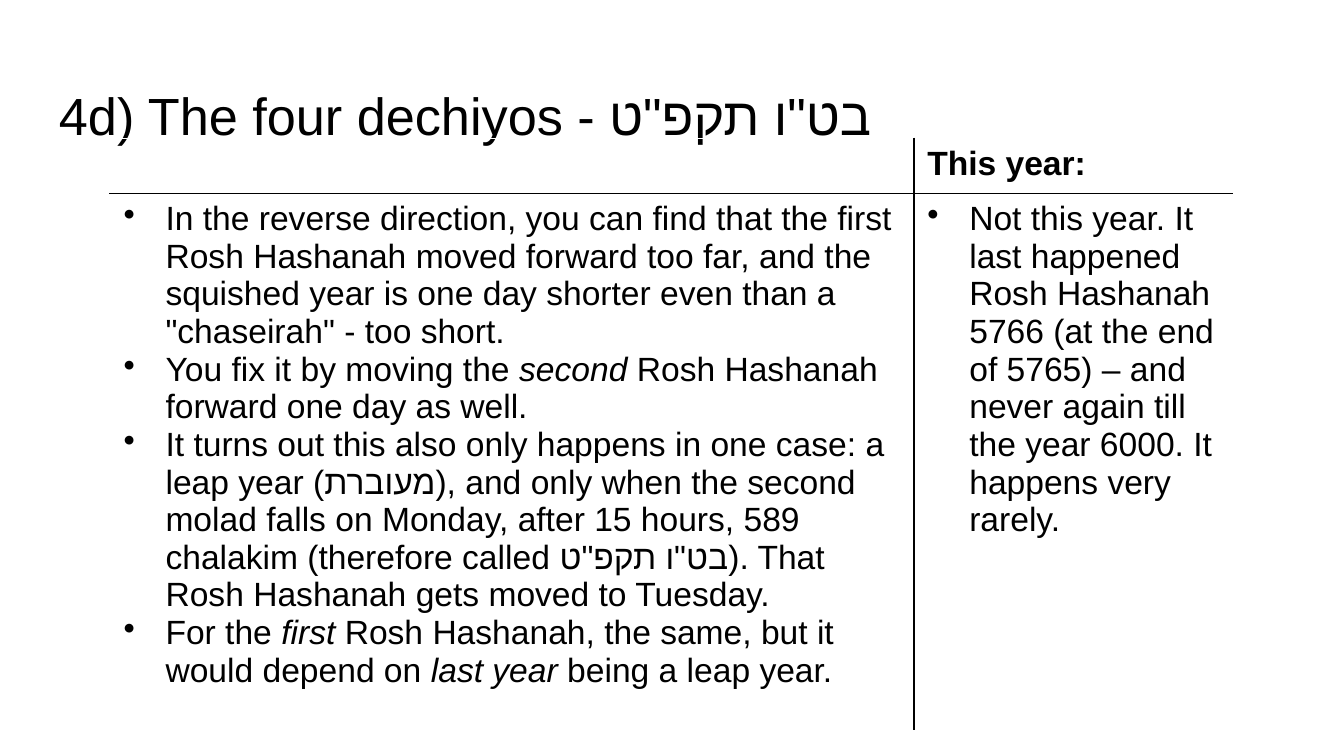
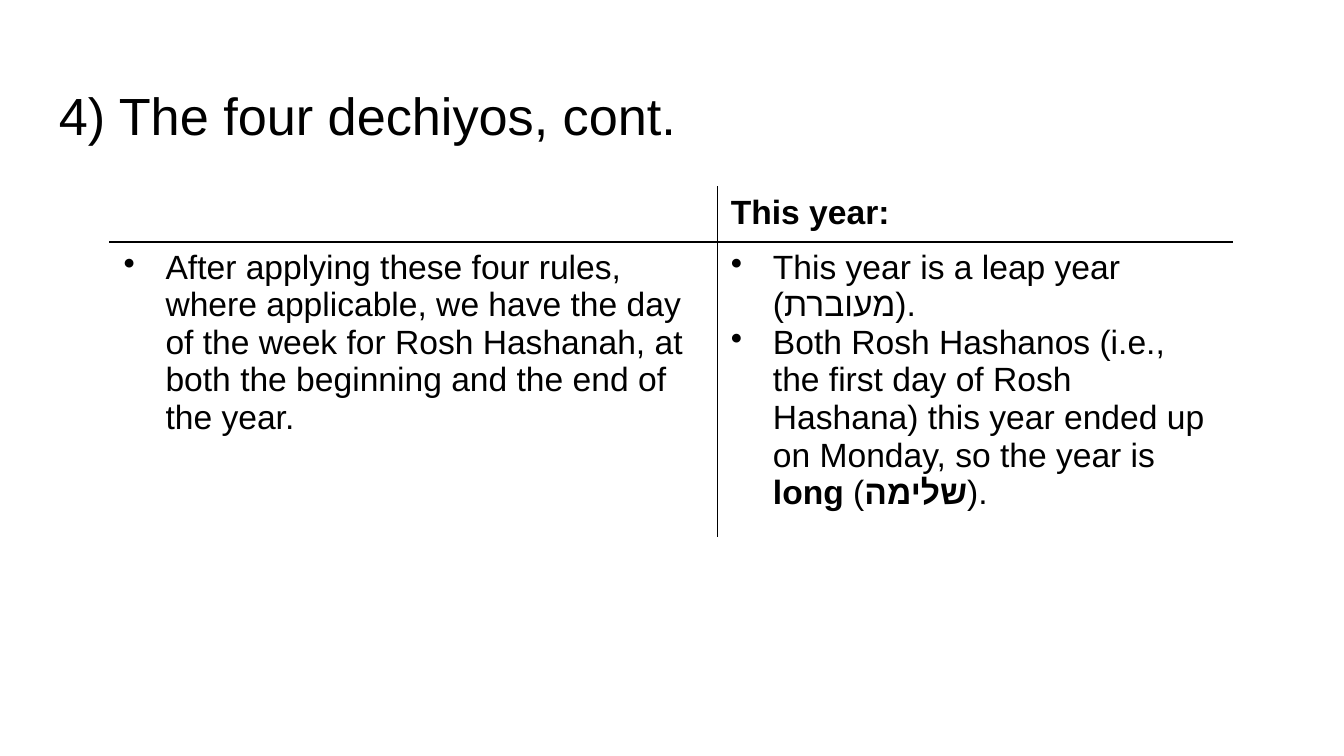
from lxml import etree
from pptx import Presentation
from pptx.dml.color import RGBColor
from pptx.enum import text
from pptx.oxml.ns import qn
from pptx.util import Pt

BLACK = RGBColor(0, 0, 0)
WHITE = RGBColor(255, 255, 255)
FACE = "Arial"
ITALIC = {"italic": True}
BOLD = {"bold": True}
HEAD = "This year:"


def add_color(parent, tag, color):
    box = etree.SubElement(parent, qn(tag))
    etree.SubElement(box, qn("a:srgbClr"), val=str(color))


class Deck:
    left, width = Pt(59), 601.2
    row, hang = Pt(29.5), Pt(22.5)

    def __init__(self):
        self.prs = Presentation()
        self.prs.slide_width, self.prs.slide_height = Pt(720), Pt(405)
        self.slide = None

    def start(self, title):
        self.slide = self.prs.slides.add_slide(self.prs.slide_layouts[6])
        box = self.slide.shapes.add_textbox(Pt(24.5), Pt(35.3), Pt(671), Pt(45.4))
        frame = box.text_frame
        style = {"word_wrap": True, "vertical_anchor": text.MSO_ANCHOR.TOP,
                 "margin_left": Pt(7.2), "margin_right": Pt(7.2),
                 "margin_top": Pt(9.4), "margin_bottom": Pt(0)}
        for name, value in style.items():
            setattr(frame, name, value)
        self.fill(frame.paragraphs[0], [title], size=28)

    def fill(self, para, parts, size=18, **base):
        """Add runs; a part is a string or a (string, font values) pair."""
        for part in parts:
            words, extra = (part, {}) if isinstance(part, str) else part
            run = para.add_run()
            run.text = words
            style = {"name": FACE, "size": Pt(size), "bold": False, "italic": False}
            for name, value in {**style, **base, **extra}.items():
                setattr(run.font, name, value)
            run.font.color.rgb = BLACK
            etree.SubElement(run._r.get_or_add_rPr(), qn("a:cs"), typeface=FACE)

    def bullet(self, para):
        props = para._p.get_or_add_pPr()
        props.set("marL", str(self.hang))
        props.set("indent", str(-self.hang))
        add_color(props, "a:buClr", BLACK)
        etree.SubElement(props, qn("a:buChar"), char="•")

    def border(self, cell, **sides):
        """Colour the given sides, named L, R, T and B in that order."""
        props = cell._tc.get_or_add_tcPr()
        for side, color in sides.items():
            line = etree.SubElement(props, qn(f"a:ln{side}"), w=str(Pt(1)))
            add_color(line, "a:solidFill", color)
        cell.fill.background()

    def items(self, cell, points):
        frame = cell.text_frame
        for i, parts in enumerate(points):
            para = frame.add_paragraph() if i else frame.paragraphs[0]
            self.bullet(para)
            self.fill(para, parts)

    def table(self, top, height, split, rules, year):
        """Two columns, parted at split: the rules, and how they apply."""
        frame = self.slide.shapes.add_table(
            2, 2, self.left, Pt(top), Pt(self.width), Pt(height))
        grid = frame.table
        grid.first_row = grid.horz_banding = False
        for col, wide in zip(grid.columns, (split, self.width - split)):
            col.width = Pt(wide)
        for row in grid.rows:
            row.height = self.row
        frame.height = Pt(height)
        for col, sides in enumerate(({"L": WHITE, "R": BLACK},
                                     {"L": BLACK, "R": WHITE})):
            self.border(grid.cell(0, col), **sides, T=WHITE, B=BLACK)
            self.border(grid.cell(1, col), **sides, T=BLACK)
        self.fill(grid.cell(0, 1).text_frame.paragraphs[0], [HEAD], bold=True)
        self.items(grid.cell(1, 0), rules)
        self.items(grid.cell(1, 1), year)


def main():
    deck = Deck()
    deck.start('4d) The four dechiyos - בט"ו תקפ"ט')
    deck.table(
        74.2, 317.5, 430.6,
        [
            ["In the reverse direction, you can find that the first Rosh "
             "Hashanah moved forward too far, and the squished year is one day "
             'shorter even than a "chaseirah" - too short.'],
            ["You fix it by moving the ", ("second", ITALIC),
             " Rosh Hashanah forward one day as well."],
            ["It turns out this also only happens in one case: a leap year "
             "(מעוברת), and only when the second molad falls on Monday, after "
             '15 hours, 589 chalakim (therefore called בט"ו תקפ"ט). That Rosh '
             "Hashanah gets moved to Tuesday."],
            ["For the ", ("first", ITALIC),
             " Rosh Hashanah, the same, but it would depend on ",
             ("last year ", ITALIC), "being a leap year."],
        ],
        [["Not this year. It last happened Rosh Hashanah 5766 (at the end of "
          "5765) – and never again till the year 6000. It happens very "
          "rarely."]])

    deck.start("4) The four dechiyos, cont.")
    deck.table(
        100.1, 187.9, 325.4,
        [["After applying these four rules, where applicable, we have the day "
          "of the week for Rosh Hashanah, at both the beginning and the end of "
          "the year."]],
        [
            ["This year is a leap year (מעוברת)."],
            ["Both Rosh Hashanos (i.e., the first day of Rosh Hashana) this "
             "year ended up on Monday, so the year is ", ("long", BOLD), " (",
             ("שלימה", BOLD), ")."],
        ])
    deck.prs.save("out.pptx")


if __name__ == "__main__":
    main()
